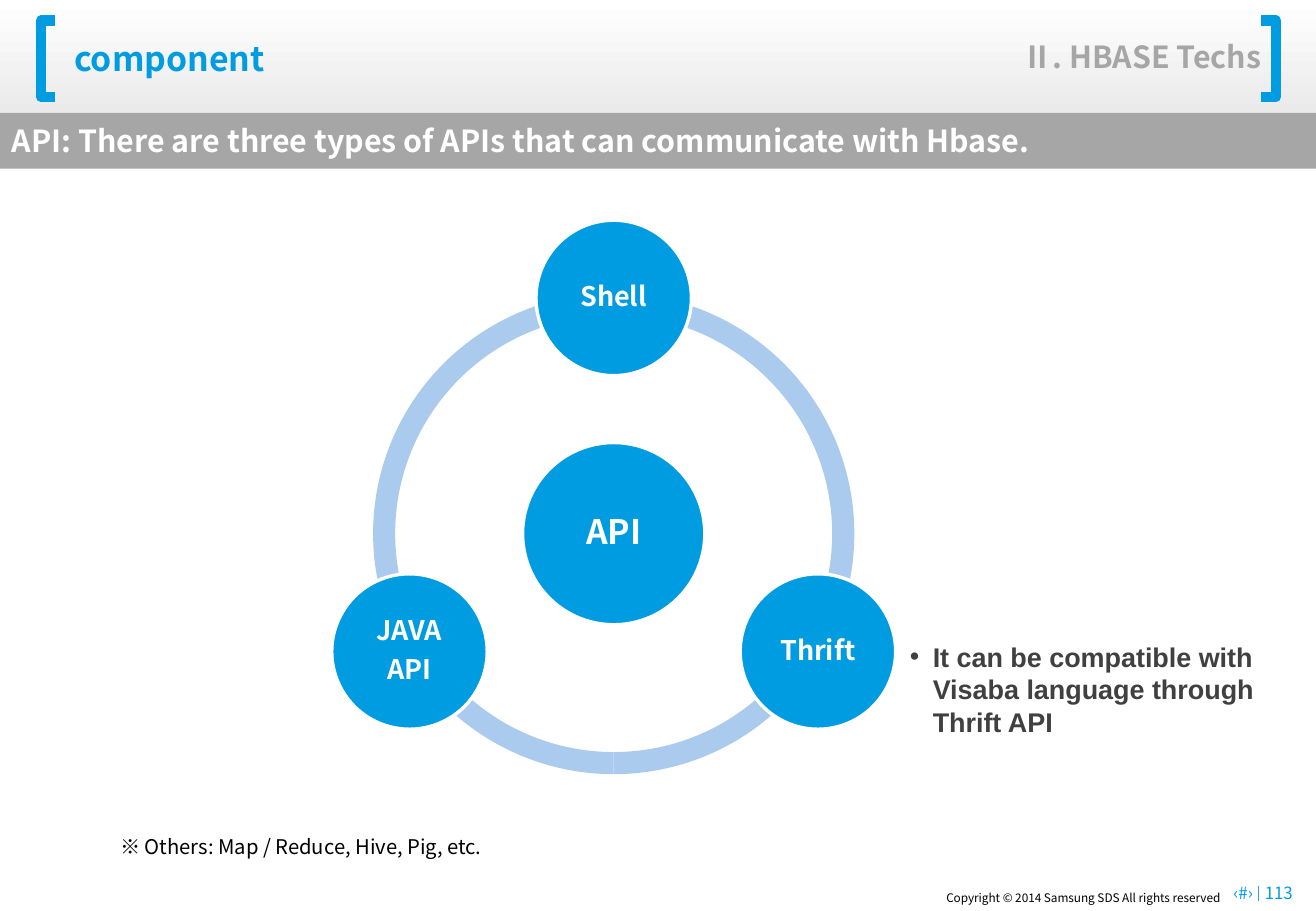
import math
from dataclasses import dataclass

import pptx
import pptx.util
import pptx.dml.color
import pptx.enum.shapes
import pptx.enum.text
import pptx.oxml.ns
from lxml import etree

Cm = pptx.util.Cm
Pt = pptx.util.Pt
Kind = pptx.enum.shapes.MSO_SHAPE
Align = pptx.enum.text.PP_ALIGN
Mid = pptx.enum.text.MSO_ANCHOR.MIDDLE
Top = pptx.enum.text.MSO_ANCHOR.TOP
qn = pptx.oxml.ns.qn


@dataclass(frozen=True)
class Theme:
    blue: str = "009CE1"
    pale: str = "ABCBEE"
    gray: str = "A6A6A6"
    dark: str = "404040"
    black: str = "000000"
    white: str = "FFFFFF"
    fade: str = "EAEAEA"
    page: str = "039BE7"
    rule: str = "3399FF"
    sans: str = "Noto Sans CJK KR"
    latin: str = "Arial"
    tiny: int = 7
    small: int = 10
    note: int = 12
    body: int = 16
    head: int = 18
    big: int = 20


T = Theme()


def rgb(code):
    return pptx.dml.color.RGBColor.from_string(code)


def apply(item, look):
    for name, value in look.items():
        setattr(item, name, value)


def write(shape, lines, size, color, bold=False, face=T.sans, anchor=Mid,
          pad=(0.25, 0.13, 0.25, 0.13), **look):
    frame = shape.text_frame
    sides = ("margin_left", "margin_top", "margin_right", "margin_bottom")
    apply(frame, dict(zip(sides, map(Cm, pad)), word_wrap=True, vertical_anchor=anchor))
    for i, line in enumerate(lines):
        para = frame.paragraphs[0] if i == 0 else frame.add_paragraph()
        apply(para, {"alignment": Align.LEFT, **look})
        run = para.add_run()
        run.text = line
        apply(run.font, {"size": Pt(size), "bold": bold, "name": face})
        run.font.color.rgb = rgb(color)
        etree.SubElement(run.font._element, qn("a:ea"), typeface=face)


def label(slide, box, line, size, color, **look):
    shape = slide.shapes.add_textbox(*map(Cm, box))
    write(shape, [line], size, color, **look)
    return shape


def draw(slide, kind, box, fill, edge=None):
    shape = slide.shapes.add_shape(kind, *map(Cm, box))
    shape.shadow.inherit = False
    shape.fill.solid()
    shape.fill.fore_color.rgb = rgb(fill)
    if edge:
        shape.line.color.rgb = rgb(edge)
        shape.line.width = Pt(2)
    else:
        shape.line.fill.background()
    return shape


def bracket(slide, tip, back, top, end):
    pen = slide.shapes.build_freeform(Cm(tip), Cm(top))
    pen.add_line_segments([(Cm(back), Cm(top)), (Cm(back), Cm(end)), (Cm(tip), Cm(end))], close=False)
    shape = pen.convert_to_shape()
    shape.shadow.inherit = False
    shape.fill.background()
    shape.line.color.rgb = rgb(T.blue)
    shape.line.width = Pt(6)


def header(slide, box):
    x, y, w, h = box
    band = draw(slide, Kind.RECTANGLE, box, T.white)
    band.fill.gradient()
    band.fill.gradient_angle = 270
    for stop, color in zip(band.fill.gradient_stops, (T.white, T.fade)):
        stop.color.rgb = rgb(color)
    for edge, way in ((x + 0.86, 1), (x + w - 0.84, -1)):
        bracket(slide, edge + way * 0.3, edge, y + 0.43, y + 2.03)
    title = slide.shapes.title
    slide.shapes._spTree.append(title._element)
    place = map(Cm, (x + 1.55, y + 0.56, 22.81, 1.3))
    apply(title, dict(zip(("left", "top", "width", "height"), place)))
    pad = (0, 0.13, 0.25, 0.13)
    write(title, ["component"], T.big, T.blue, bold=True, pad=pad)
    label(slide, (x + w - 7.44, y + 0.53, 6.55, 1.3), "Ⅱ. HBASE Techs", T.head, T.gray,
          bold=True, pad=pad, alignment=Align.RIGHT)


def banner(slide, box):
    bar = draw(slide, Kind.RECTANGLE, box, T.gray)
    write(bar, ["API: There are three types of APIs that can communicate with Hbase."],
          T.head, T.white, bold=True, alignment=Align.JUSTIFY)


def disc(slide, x, y, wide, lines, size):
    shape = draw(slide, Kind.OVAL, (x - wide / 2, y - wide / 2, wide, wide), T.blue, T.white)
    write(shape, lines, size, T.white, bold=True, pad=(0.05,) * 4, alignment=Align.CENTER,
          line_spacing=0.9, space_after=Pt(size * 0.35))


def cycle(slide, box):
    x, y, w, h = box
    mid, core = x + w / 2, y + h / 2
    for start, end in ((90, 162), (18, 90), (162, 18)):
        arc = draw(slide, Kind.BLOCK_ARC, box, T.pale)
        for i, value in enumerate((start * 0.6, end * 0.6, 0.046)):
            arc.adjustments[i] = value
    disc(slide, mid, core, 3.81, ["API"], T.big)
    reach = w * 0.49
    for i, lines in enumerate((["Shell"], ["Thrift"], ["JAVA", "API"])):
        turn = math.radians(120 * i - 90)
        disc(slide, mid + reach * math.cos(turn), core + reach * math.sin(turn),
             3.25, lines, T.body)


def remark(slide, box):
    shape = label(slide, box, "It can be compatible with Visaba language through Thrift API",
                  T.body, T.dark, bold=True, face=T.latin, anchor=Top, space_after=Pt(3))
    props = shape.text_frame.paragraphs[0]._p.get_or_add_pPr()
    props.set("marL", str(Cm(0.48)))
    props.set("indent", str(-Cm(0.48)))
    etree.SubElement(props, qn("a:buFont"), typeface=T.latin)
    etree.SubElement(props, qn("a:buChar"), char="•")


def footer(slide, box):
    x, y, w, h = box
    label(slide, (x, y + 0.07, 10.01, 0.56), "Copyright © 2014 Samsung SDS All rights reserved",
          T.tiny, T.black, anchor=Top, pad=(0, 0.13, 0.25, 0.13), alignment=Align.RIGHT)
    split = x + 10.56
    line = slide.shapes.add_connector(pptx.enum.shapes.MSO_CONNECTOR.STRAIGHT,
                                      Cm(split), Cm(y + 0.1), Cm(split), Cm(y + 0.43))
    line.line.color.rgb = rgb(T.rule)
    line.line.width = Pt(0.75)
    etree.SubElement(line._element.spPr, qn("a:effectLst"))
    for left, text, side in ((9.5, "‹#›", Align.RIGHT), (10.44, "113", Align.LEFT)):
        label(slide, (x + left, y, 1.19, 0.51), text, T.small, T.page, alignment=side)


def main():
    deck = pptx.Presentation()
    deck.slide_width, deck.slide_height = Cm(27.51), Cm(19.05)
    slide = deck.slides.add_slide(deck.slide_layouts.get_by_name("Title Only"))
    header(slide, (0, 0, 27.51, 2.39))
    banner(slide, (0, 2.36, 27.51, 1.17))
    cycle(slide, (7.8, 6.13, 10.06, 10.06))
    remark(slide, (18.77, 13.26, 8.36, 2.31))
    label(slide, (2.26, 17.32, 18.11, 0.76), "※ Others: Map / Reduce, Hive, Pig, etc.",
          T.note, T.black, anchor=Top)
    footer(slide, (15.75, 18.42, 11.76, 0.63))
    deck.save("out.pptx")


if __name__ == "__main__":
    main()
